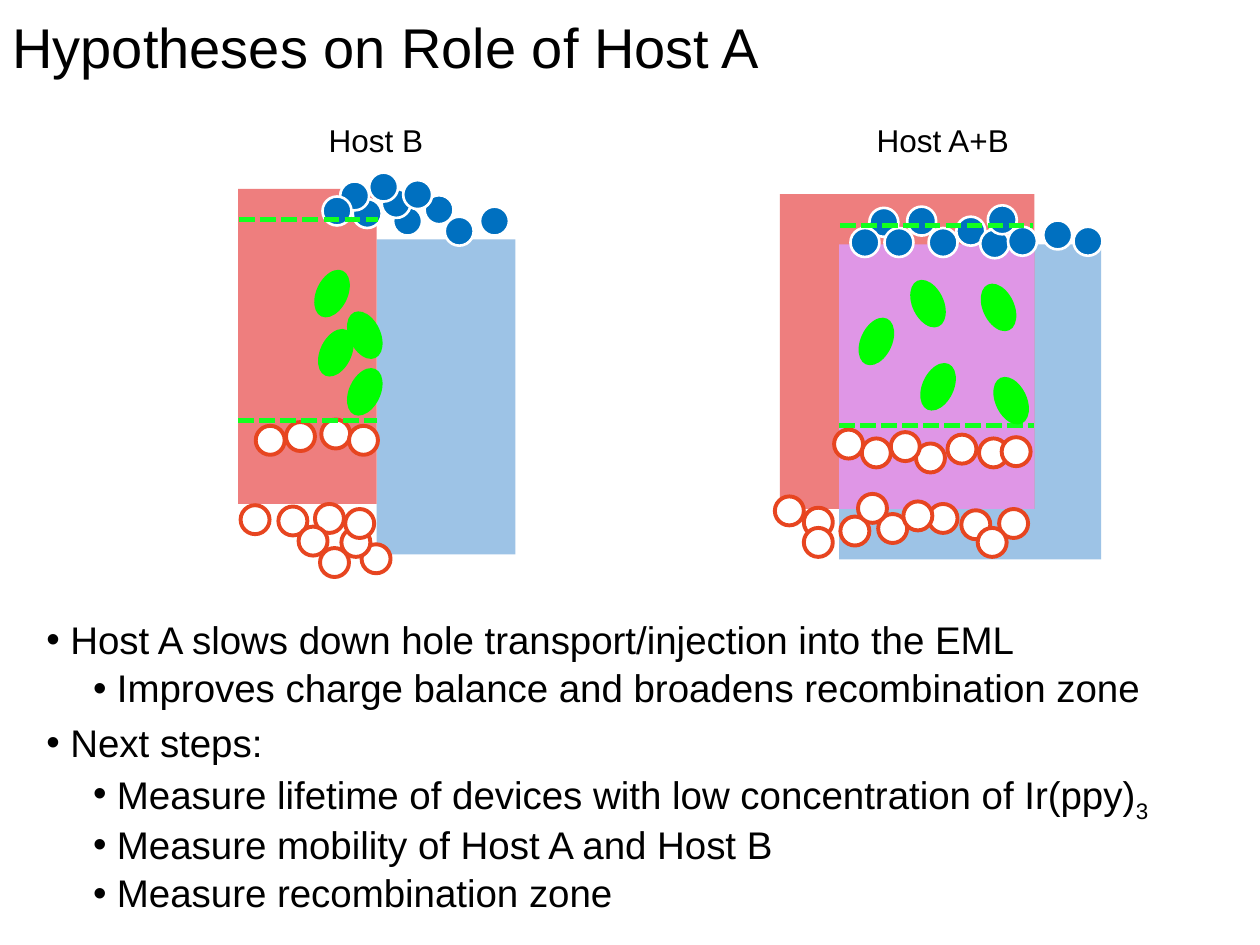
from lxml import etree
from pptx import Presentation
from pptx.dml.color import RGBColor
from pptx.enum.dml import MSO_LINE
from pptx.enum.shapes import MSO_CONNECTOR, MSO_SHAPE
from pptx.enum.text import MSO_ANCHOR, MSO_AUTO_SIZE
from pptx.oxml.ns import qn
from pptx.util import Inches, Pt

RECTANGLE = MSO_SHAPE.RECTANGLE
OVAL = MSO_SHAPE.OVAL
STRAIGHT = MSO_CONNECTOR.STRAIGHT
DASH = MSO_LINE.SQUARE_DOT
MIDDLE = MSO_ANCHOR.MIDDLE
FIT_SHAPE = MSO_AUTO_SIZE.SHAPE_TO_FIT_TEXT

FONT = "Arial"
COLORS = {
    "text": "000000",
    "white": "FFFFFF",
    "transport": "EE7E7E",
    "blocking": "9DC3E6",
    "mixed": "DF96E6",
    "electron": "0070C0",
    "hole": "E74520",
    "emitter": "00FF00",
    "level": "12FF1F",
}
CARRIER_SIZE = 0.23
EMITTER_SIZE = (0.25, 0.4)
LEFT_TILT, RIGHT_TILT = 335, 25

HOST_B = {
    "label": ("Host B", 2.51, 0.91, 0.96, 0.4),
    "layers": [("blocking", 2.99, 1.9, 1.1, 2.5), ("transport", 1.89, 1.5, 1.1, 2.5)],
    "electrons": [
        (3.12, 1.64), (3.03, 1.5), (3.37, 1.55), (3.53, 1.72), (3.81, 1.64), (2.8, 1.58),
        (3.2, 1.43), (2.93, 1.37), (2.7, 1.44), (2.56, 1.56),
    ],
    "holes": [
        (2.21, 4.02), (1.91, 4.01), (2.87, 4.32), (2.5, 4), (2.71, 4.19), (2.74, 4.04),
        (2.37, 4.18), (2.54, 4.35), (2.27, 3.35), (2.55, 3.33), (2.77, 3.38), (2.03, 3.38),
    ],
    "levels": [(1.9, 3, 1.74), (1.89, 2.99, 3.34)],
    "emitters": [
        (2.77, 2.91, RIGHT_TILT), (2.77, 2.46, LEFT_TILT),
        (2.51, 2.13, RIGHT_TILT), (2.54, 2.6, RIGHT_TILT),
    ],
}
HOST_A_AND_B = {
    "label": ("Host A+B", 6.86, 0.91, 1.26, 0.4),
    "layers": [
        ("blocking", 6.66, 1.94, 2.08, 2.5),
        ("transport", 6.19, 1.54, 2.02, 2.5),
        ("mixed", 6.66, 1.94, 1.55, 2.1),
    ],
    "electrons": [
        (7.59, 1.72), (7.78, 1.82), (7.84, 1.63), (8, 1.8), (8.28, 1.75), (7.37, 1.81),
        (6.9, 1.65), (6.75, 1.81), (7.2, 1.64), (7.02, 1.81), (8.52, 1.8),
    ],
    "holes": [
        (6.67, 4.1), (6.38, 4.03), (7.93, 4.04), (6.97, 4.08), (7.37, 4), (7.63, 4.05),
        (6.81, 3.92), (7.17, 3.98), (7.27, 3.52), (7.52, 3.45), (7.77, 3.48), (7.07, 3.43),
        (6.84, 3.48), (6.62, 3.41), (6.38, 4.19), (7.76, 4.19), (6.15, 3.94), (7.95, 3.47),
    ],
    "levels": [(6.67, 8.2, 1.79), (6.66, 8.21, 3.38)],
    "emitters": [
        (7.32, 2.87, RIGHT_TILT), (7.24, 2.21, LEFT_TILT), (6.83, 2.51, RIGHT_TILT),
        (7.8, 2.24, LEFT_TILT), (7.9, 2.98, LEFT_TILT),
    ],
}
BULLETS = [
    (0, "Host A slows down hole transport/injection into the EML", ""),
    (1, "Improves charge balance and broadens recombination zone", ""),
    (0, "Next steps:", ""),
    (1, "Measure lifetime of devices with low concentration of Ir(ppy)", "3"),
    (1, "Measure mobility of Host A and Host B", ""),
    (1, "Measure recombination zone", ""),
]


def color(name):
    return RGBColor.from_string(COLORS[name])


class SlideBuilder:
    def __init__(self, slide):
        self.slide = slide
        self.shapes = slide.shapes

    def start_group(self):
        self.shapes = self.slide.shapes.add_group_shape().shapes

    def style_font(self, font, size):
        font.name = FONT
        font.size = Pt(size)
        font.color.rgb = color("text")

    def text_box(self, left, top, width, height, wrap=True):
        box = self.shapes.add_textbox(*map(Inches, (left, top, width, height)))
        box.text_frame.word_wrap = wrap
        return box.text_frame

    def title(self, text):
        frame = self.text_box(0, 0, 10, 0.8)
        frame.vertical_anchor = MIDDLE
        frame.text = text
        frame.paragraphs[0].line_spacing = 0.9
        self.style_font(frame.paragraphs[0].runs[0].font, 32)

    def label(self, text, *bounds):
        frame = self.text_box(*bounds, wrap=False)
        frame.auto_size = FIT_SHAPE
        frame.text = text
        self.style_font(frame.paragraphs[0].runs[0].font, 18)

    def bullet_list(self, items, *bounds):
        frame = self.text_box(*bounds)
        for index, (level, text, subscript) in enumerate(items):
            para = frame.add_paragraph() if index else frame.paragraphs[0]
            para.text = text
            para.level = level
            properties = para._p.get_or_add_pPr()
            properties.set("marL", str(Inches(0.56 if level else 0.19)))
            properties.set("indent", str(Inches(-0.19)))
            etree.SubElement(properties, qn("a:buFont"), typeface=FONT)
            etree.SubElement(properties, qn("a:buChar"), char="•")
            para.line_spacing = 0.9
            if index:
                para.space_before = Pt(3.8 if level else 7.5)
            if subscript:
                span = para.add_run()
                span.text = subscript
                span._r.get_or_add_rPr().set("baseline", "-25000")
            for span in para.runs:
                self.style_font(span.font, 22)

    def shape(self, kind, fill, left, top, width, height, outline=None, weight=0):
        shape = self.shapes.add_shape(kind, *map(Inches, (left, top, width, height)))
        shape.shadow.inherit = False
        shape.fill.solid()
        shape.fill.fore_color.rgb = color(fill)
        if outline:
            shape.line.color.rgb = color(outline)
            shape.line.width = Pt(weight)
        else:
            shape.line.fill.background()
        return shape

    def carrier(self, fill, outline, weight, left, top):
        self.shape(OVAL, fill, left, top, CARRIER_SIZE, CARRIER_SIZE, outline, weight)

    def emitter(self, left, top, tilt):
        self.shape(OVAL, "emitter", left, top, *EMITTER_SIZE).rotation = tilt

    def energy_level(self, start, end, height):
        line = self.shapes.add_connector(STRAIGHT, *map(Inches, (start, height, end, height)))
        line.line.color.rgb = color("level")
        line.line.width = Pt(3)
        line.line.dash_style = DASH
        etree.SubElement(line._element.spPr, qn("a:effectLst"))

    def device(self, parts):
        self.start_group()
        for fill, *bounds in parts["layers"]:
            self.shape(RECTANGLE, fill, *bounds)
        for place in parts["electrons"]:
            self.carrier("electron", "white", 1.5, *place)
        for place in parts["holes"]:
            self.carrier("white", "hole", 2.25, *place)
        for level in parts["levels"]:
            self.energy_level(*level)
        for emitter in parts["emitters"]:
            self.emitter(*emitter)
        self.label(*parts["label"])


def main():
    deck = Presentation()
    deck.slide_width = Inches(10)
    deck.slide_height = Inches(7.5)
    builder = SlideBuilder(deck.slides.add_slide(deck.slide_layouts[6]))
    builder.title("Hypotheses on Role of Host A")
    builder.bullet_list(BULLETS, 0.27, 4.88, 9.48, 2.57)
    for parts in (HOST_A_AND_B, HOST_B):
        builder.device(parts)
    deck.save("out.pptx")


if __name__ == "__main__":
    main()
